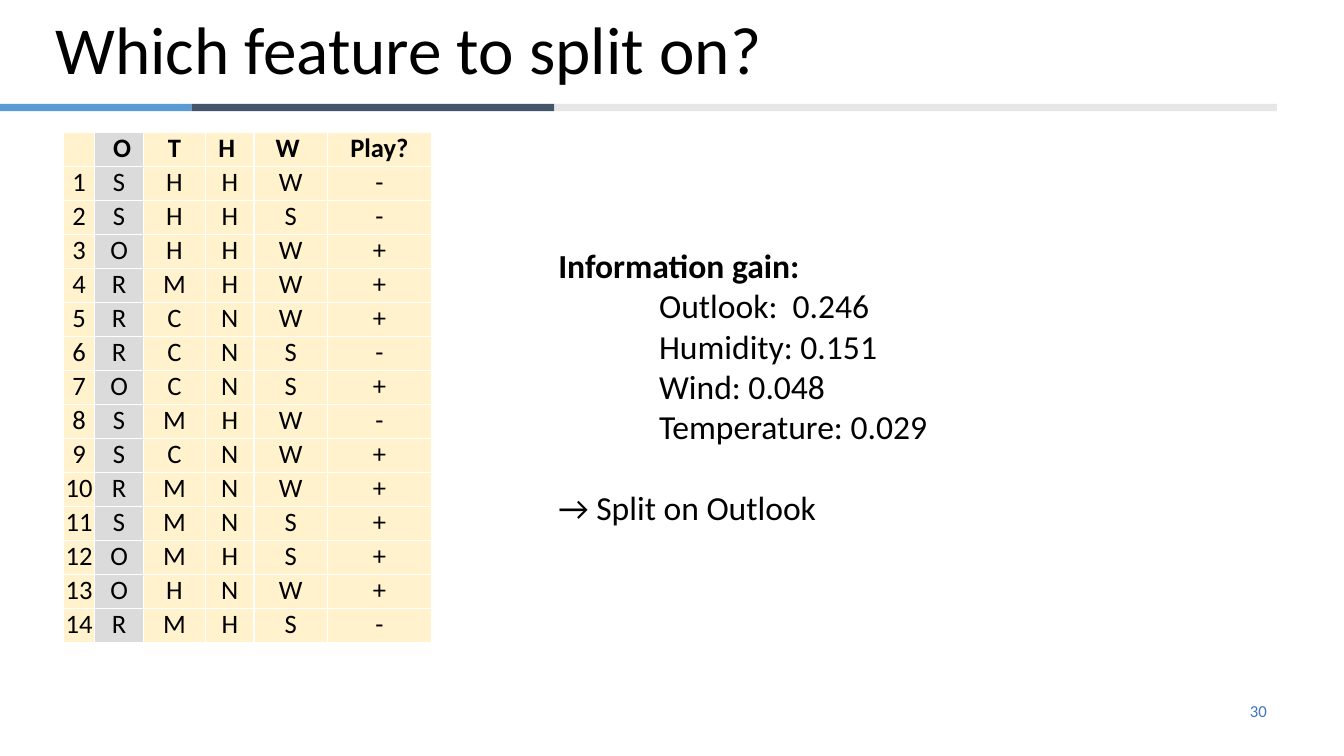
from pptx import Presentation
from pptx.dml.color import RGBColor
from pptx.enum.shapes import MSO_SHAPE
from pptx.enum.text import MSO_ANCHOR, MSO_AUTO_SIZE, PP_ALIGN
from pptx.util import Cm, Pt

BLACK = RGBColor(0x00, 0x00, 0x00)
BLUE = RGBColor(0x5B, 0x9B, 0xD5)
SLATE = RGBColor(0x44, 0x54, 0x6A)
SILVER = RGBColor(0xE7, 0xE6, 0xE6)
NUMBER_BLUE = RGBColor(0x44, 0x72, 0xC4)
CREAM = RGBColor(0xFF, 0xF2, 0xCC)
GREY = RGBColor(0xDB, 0xDB, 0xDB)

HEADING = "Which feature to split on?"
PAGE_NUMBER = "30"
RULE_SEGMENTS = [(4.85, BLUE), (9.14, SLATE), (18.21, SILVER)]
FEATURES = ["", " O", "T", "H ", "W ", "Play?"]
DAYS = [
    "SHHW-", "SHHS-", "OHHW+", "RMHW+", "RCNW+", "RCNS-", "OCNS+",
    "SMHW-", "SCNW+", "RMNW+", "SMNS+", "OMHS+", "OHNW+", "RMHS-",
]
COLUMN_WIDTHS = [0.79, 1.22, 1.57, 1.22, 1.85, 2.62]
TABLE_HEIGHT = 12.86
SPLIT_COLUMN = 1
GAIN_HEADING = "Information gain:"
GAINS = ["Outlook:  0.246", "Humidity: 0.151", "Wind: 0.048", "Temperature: 0.029"]
CONCLUSION = "→ Split on Outlook"


def style(paragraph, size, color=BLACK, bold=False, align=PP_ALIGN.LEFT):
    """Format a paragraph and its runs."""
    paragraph.alignment = align
    for font in [paragraph.font] + [run.font for run in paragraph.runs]:
        font.name = "Calibri"
        font.size = Pt(size)
        font.bold = bold
        font.color.rgb = color


def add_rule(slide):
    """Draw the three-coloured rule under the title."""
    left = -0.02
    for width, color in RULE_SEGMENTS:
        segment = slide.shapes.add_shape(
            MSO_SHAPE.RECTANGLE, Cm(left), Cm(2.62), Cm(width), Cm(0.18))
        segment.shadow.inherit = False
        segment.fill.solid()
        segment.fill.fore_color.rgb = color
        segment.line.fill.background()
        left += width


def add_title(slide):
    """Place and format the title."""
    title = slide.shapes.title
    title.left, title.top, title.width, title.height = Cm(1.14), Cm(0.05), Cm(30.48), Cm(2.57)
    frame = title.text_frame
    frame.text = HEADING
    frame.auto_size = MSO_AUTO_SIZE.NONE
    frame.vertical_anchor = MSO_ANCHOR.MIDDLE
    frame.paragraphs[0].line_spacing = 0.9
    style(frame.paragraphs[0], 48)


def add_days(slide):
    """Build the table of days with the split column shaded."""
    rows = [FEATURES] + [[str(day), *values] for day, values in enumerate(DAYS, 1)]
    table = slide.shapes.add_table(
        len(rows), len(FEATURES), Cm(1.6), Cm(3.33),
        Cm(sum(COLUMN_WIDTHS)), Cm(TABLE_HEIGHT)).table
    table.horz_banding = False
    for column, width in zip(table.columns, COLUMN_WIDTHS):
        column.width = Cm(width)
    for r, values in enumerate(rows):
        table.rows[r].height = Cm(TABLE_HEIGHT / len(rows))
        for c, value in enumerate(values):
            cell = table.cell(r, c)
            cell.margin_left = cell.margin_right = cell.margin_top = cell.margin_bottom = 0
            cell.fill.solid()
            cell.fill.fore_color.rgb = GREY if c == SPLIT_COLUMN else CREAM
            cell.text_frame.text = value
            style(cell.text_frame.paragraphs[0], 19, bold=r == 0, align=PP_ALIGN.CENTER)


def add_gains(slide):
    """List the information gains and the conclusion."""
    frame = slide.shapes.add_textbox(Cm(14.07), Cm(6.17), Cm(14.15), Cm(7.19)).text_frame
    frame.word_wrap = True
    frame.margin_left = frame.margin_right = frame.margin_top = frame.margin_bottom = 0
    frame.text = "\n".join([GAIN_HEADING, *GAINS, CONCLUSION])
    heading, *gains, conclusion = frame.paragraphs
    style(heading, 24, bold=True)
    for gain in gains:
        style(gain, 24)
        properties = gain._p.get_or_add_pPr()
        properties.set("marL", str(Cm(2.54)))
        properties.set("indent", "0")
    style(conclusion, 24)
    conclusion.space_before = Pt(29)


def add_page_number(slide):
    """Place the page number at the lower right."""
    frame = slide.shapes.add_textbox(Cm(24.28), Cm(17.4), Cm(7.9), Cm(1.02)).text_frame
    frame.word_wrap = True
    frame.vertical_anchor = MSO_ANCHOR.MIDDLE
    frame.text = PAGE_NUMBER
    style(frame.paragraphs[0], 12, NUMBER_BLUE, align=PP_ALIGN.RIGHT)


def main():
    """Build the slide and save it."""
    deck = Presentation()
    deck.slide_width, deck.slide_height = Cm(33.87), Cm(19.05)
    slide = deck.slides.add_slide(deck.slide_layouts[5])
    add_rule(slide)
    add_page_number(slide)
    add_title(slide)
    add_days(slide)
    add_gains(slide)
    deck.save("out.pptx")


if __name__ == "__main__":
    main()
